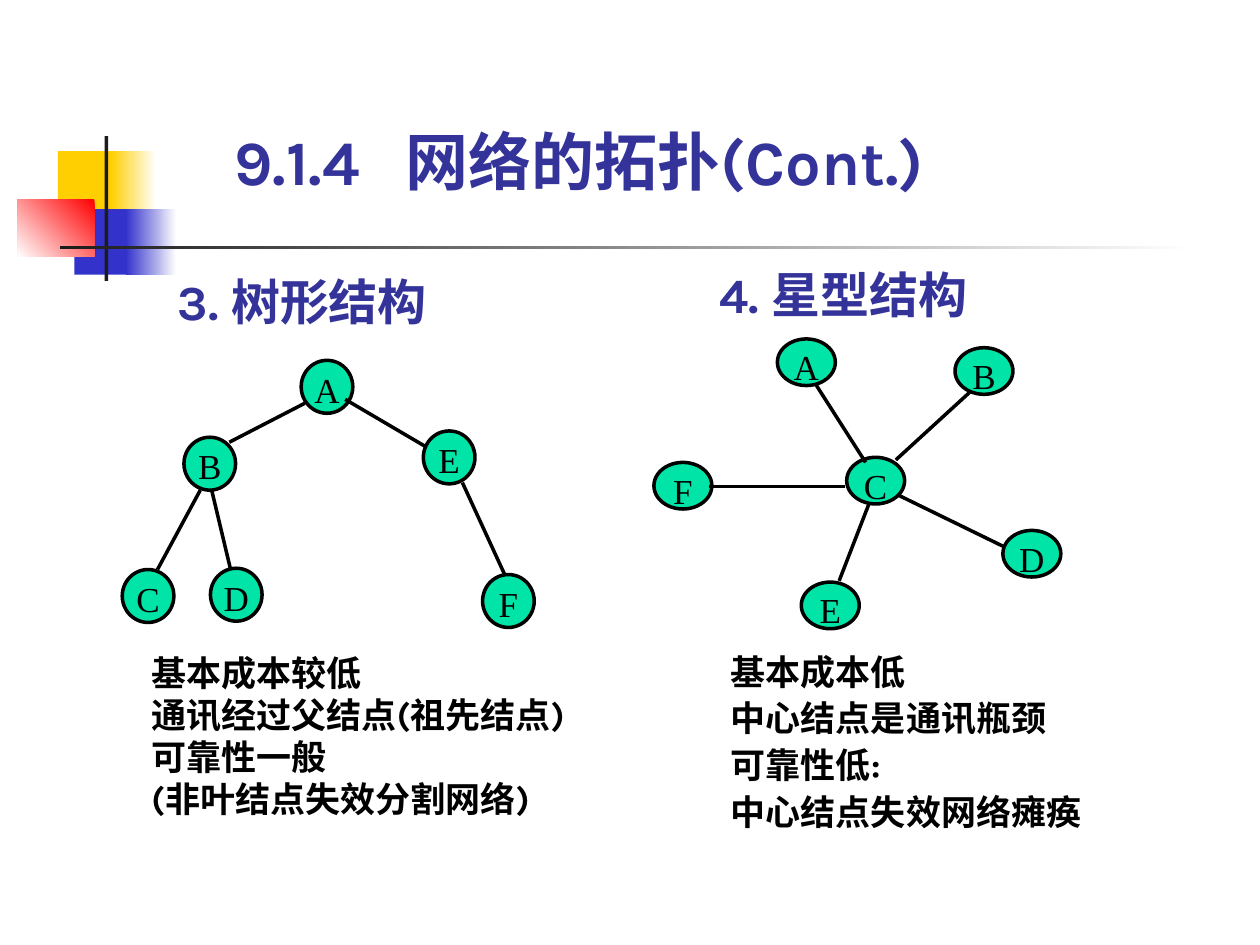
from dataclasses import dataclass

from lxml.etree import SubElement
from pptx import Presentation
from pptx.dml.color import RGBColor
from pptx.enum.shapes import MSO_CONNECTOR, MSO_SHAPE
from pptx.enum.text import MSO_ANCHOR, PP_ALIGN
from pptx.oxml.ns import qn
from pptx.util import Inches, Pt

COLS, ROWS = 100, 75  # the slide as a grid of square cells


@dataclass(frozen=True)
class Theme:
    ink: str = "000000"
    heading: str = "333399"
    node: str = "00E4A8"
    yellow: str = "FFCF01"
    blue: str = "3333CC"
    red: str = "FF0000"
    dark: str = "1C1C1C"
    white: str = "FFFFFF"
    font: str = "Karla"
    node_font: str = "Times New Roman"
    title_size: int = 36
    heading_size: int = 28
    text_size: int = 20
    line_width: int = 2


class Deck:
    def __init__(self, prs, theme):
        self.theme = theme
        self.s = prs.slides.add_slide(prs.slide_layouts[6])
        self.col = prs.slide_width / COLS
        self.row = prs.slide_height / ROWS

    def place(self, x, y, w, h):
        return [int(v) for v in (x * self.col, y * self.row, w * self.col, h * self.row)]

    def add_run(self, p, text, size, color, font, bold=True):
        r = p.add_run()
        r.text = text
        r.font.size, r.font.bold, r.font.name = Pt(size), bold, font
        r.font.color.rgb = RGBColor.from_string(color)
        SubElement(r._r.get_or_add_rPr(), qn("a:ea")).set("typeface", font)

    def block(self, box, *colors, angle=180):
        """Rectangle with one plain colour, or a gradient of two."""
        sp = self.s.shapes.add_shape(MSO_SHAPE.RECTANGLE, *self.place(*box))
        sp.shadow.inherit = False
        sp.line.fill.background()
        if len(colors) == 1:
            sp.fill.solid()
            sp.fill.fore_color.rgb = RGBColor.from_string(colors[0])
            return
        sp.fill.gradient()
        sp.fill.gradient_angle = angle
        for stop, color in zip(sp.fill.gradient_stops, colors):
            stop.color.rgb = RGBColor.from_string(color)

    def text(self, box, lines, size, color, anchor=MSO_ANCHOR.TOP, align=PP_ALIGN.LEFT,
             spacing=1.0, before=0, hang=0, tab=None):
        tf = self.s.shapes.add_textbox(*self.place(*box)).text_frame
        tf.word_wrap = True
        tf.vertical_anchor = anchor
        tf.margin_left = tf.margin_right = tf.margin_top = tf.margin_bottom = 0
        for i, line in enumerate(lines):
            p = tf.paragraphs[0] if i == 0 else tf.add_paragraph()
            p.alignment, p.line_spacing = align, spacing
            if i and before:
                p.space_before = Pt(before)
            pPr = p._p.get_or_add_pPr()
            if hang:
                pPr.set("marL", str(Inches(hang)))
                pPr.set("indent", str(-Inches(hang)))
            if tab:
                stop = SubElement(SubElement(pPr, qn("a:tabLst")), qn("a:tab"))
                stop.set("pos", str(Inches(tab)))
                stop.set("algn", "l")
            self.add_run(p, line, size, color, self.theme.font)

    def node(self, shapes, label, box):
        t = self.theme
        sp = shapes.add_shape(MSO_SHAPE.OVAL, *self.place(*box))
        sp.shadow.inherit = False
        sp.fill.solid()
        sp.fill.fore_color.rgb = RGBColor.from_string(t.node)
        sp.line.color.rgb = RGBColor.from_string(t.ink)
        sp.line.width = Pt(t.line_width)
        tf = sp.text_frame
        tf.vertical_anchor = MSO_ANCHOR.TOP
        tf.margin_left = tf.margin_right = tf.margin_top = tf.margin_bottom = 0
        p = tf.paragraphs[0]
        p.alignment = PP_ALIGN.CENTER
        self.add_run(p, label, t.text_size, t.ink, t.node_font, bold=False)

    def link(self, shapes, *ends):
        c = shapes.add_connector(MSO_CONNECTOR.STRAIGHT, *self.place(*ends))
        c.line.color.rgb = RGBColor.from_string(self.theme.ink)
        c.line.width = Pt(self.theme.line_width)
        SubElement(c._element.spPr, qn("a:effectLst"))

    def graph(self, node_size, nodes, links):
        shapes = self.s.shapes.add_group_shape().shapes
        for label, corner in nodes.items():
            self.node(shapes, label, (*corner, *node_size))
        for ends in links:
            self.link(shapes, *ends)


def main():
    prs = Presentation()
    prs.slide_width, prs.slide_height = Inches(10), Inches(7.5)
    t = Theme()
    d = Deck(prs, t)

    # Corner ornament and rule
    d.block((4.6, 12, 4.8, 5.2), t.yellow)
    d.block((8.8, 12, 3.6, 5.2), t.white, t.yellow)
    d.block((5.9, 16.6, 4.6, 5.2), t.blue)
    d.block((10, 16.6, 4, 5.2), t.white, t.blue)
    d.block((1.4, 15.8, 6.1, 4.6), t.red, t.white, angle=225)
    d.block((8.3, 10.8, 0.3, 11.5), t.dark)
    d.block((4.8, 19.5, 90, 0.3), t.white, t.dark)

    # Title and section headings
    d.text((18.6, 8.4, 63.3, 7.3), ["9.1.4\t网络的拓扑(Cont.)"], t.title_size, t.heading,
           anchor=MSO_ANCHOR.BOTTOM, tab=1.36)
    for box, heading in (((9.7, 21, 28.6, 5.7), "3. 树形结构"),
                         ((54.7, 21, 24.5, 4.7), "4. 星型结构")):
        d.text(box, [heading], t.heading_size, t.heading,
               anchor=MSO_ANCHOR.MIDDLE, align=PP_ALIGN.CENTER)

    # Tree topology
    d.graph((4.1, 4.2),
            {"A": (23.9, 28.6), "B": (14.6, 34.7), "C": (9.7, 45.2),
             "D": (16.7, 45.1), "E": (33.6, 34.2), "F": (38.3, 45.6)},
            [(33.7, 35.4, 27.4, 31.7), (24.2, 32, 18.2, 35.1), (18.3, 45.2, 16.8, 38.9),
             (36.7, 38.3, 40.1, 45.7), (12.5, 45.2, 15.9, 38.9)])

    # Star topology
    d.graph((4.6, 3.7),
            {"A": (61.7, 26.9), "B": (75.8, 27.6), "C": (67.2, 36.3),
             "D": (79.6, 42.1), "E": (63.6, 46.2), "F": (51.9, 36.7)},
            [(67.1, 38.6, 56.3, 38.6), (69, 39.9, 66.6, 46.1), (64.8, 30.6, 68.7, 36.7),
             (71.3, 39.3, 79.7, 43.4), (71.1, 36.5, 77, 31.1)])

    # Remarks under each topology
    d.text((12, 51.7, 35.7, 14.7),
           ["基本成本较低", "通讯经过父结点(祖先结点)", "可靠性一般", "(非叶结点失效分割网络)"],
           t.text_size, t.ink, hang=0.38)
    d.text((58, 52, 30.9, 14.1),
           ["基本成本低", "中心结点是通讯瓶颈", "可靠性低:", "中心结点失效网络瘫痪"],
           t.text_size, t.ink, spacing=0.9, before=5, hang=0.38)

    prs.save("out.pptx")


if __name__ == "__main__":
    main()
